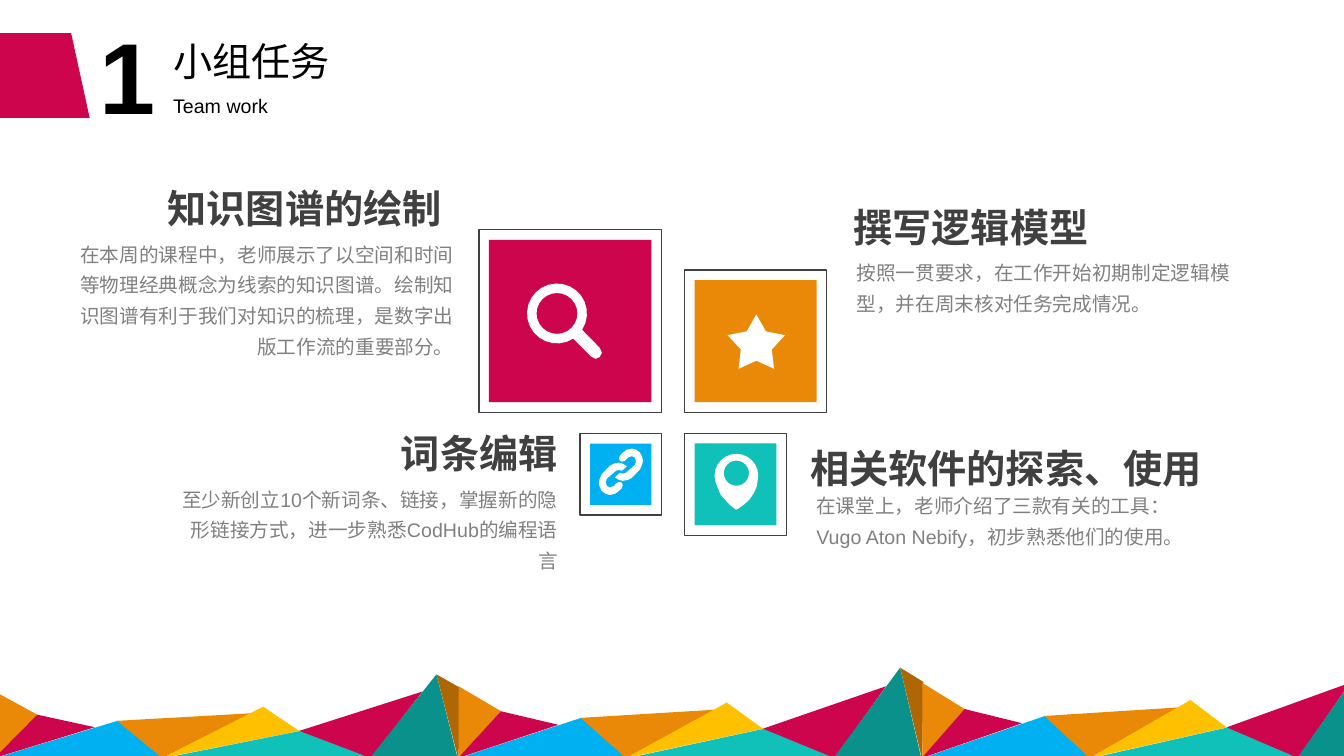
import math

import pptx
import pptx.dml.color
import pptx.enum.shapes
import pptx.enum.text
import pptx.util

Pt = pptx.util.Pt
RGBColor = pptx.dml.color.RGBColor
MSO_SHAPE = pptx.enum.shapes.MSO_SHAPE
LEFT = pptx.enum.text.PP_ALIGN.LEFT
RIGHT = pptx.enum.text.PP_ALIGN.RIGHT

CRIMSON = RGBColor(0xCD, 0x05, 0x4C)
ORANGE = RGBColor(0xEA, 0x89, 0x08)
BROWN = RGBColor(0xAF, 0x67, 0x06)
GOLD = RGBColor(0xFF, 0xC0, 0x00)
BLUE = RGBColor(0x00, 0xB0, 0xF0)
TEAL = RGBColor(0x0F, 0xC1, 0xB9)
DARK_TEAL = RGBColor(0x0B, 0x91, 0x8B)
WHITE = RGBColor(0xFF, 0xFF, 0xFF)
BLACK = RGBColor(0x00, 0x00, 0x00)
CHARCOAL = RGBColor(0x40, 0x40, 0x40)
GREY = RGBColor(0x80, 0x80, 0x80)

# Mountain range: facets as (x, height above the base line)
BASE_LINE = 541.5
RANGE_WIDTH = 331.2
RANGE_SCALES = (1, 1.08, 1.13)
FACETS = (
    (ORANGE, ((-3.6, 0), (-3.6, 47.5), (26.6, 31))),
    (CRIMSON, ((-4, 0), (26.6, 31), (67.7, 22))),
    (BLUE, ((-3.6, 0), (84, 26.6), (117.4, 0))),
    (ORANGE, ((83.5, 26.6), (179.3, 32), (116, 0))),
    (GOLD, ((213.8, 19.4), (116, 0), (188, 36.7))),
    (TEAL, ((266.4, 0), (117.4, 0), (214.6, 19.4))),
    (CRIMSON, ((265, 0), (213.8, 19.4), (301.7, 47.5))),
    (DARK_TEAL, ((326.9, 0), (264.2, 0), (311.8, 59.8))),
    (BROWN, ((328.3, 50.4), (327.6, -1.4), (311.8, 59.8))),
)

# Tiles meet around a cross-shaped gap
GAP_LEFT, GAP_RIGHT = 472.5, 489
GAP_TOP, GAP_BOTTOM = 294.5, 309.6
TILE_INSET = 7.2

# Icons
MAGNIFIER_HANDLE = [(428.4, 248.4), (430, 252), (428.4, 255), (425.5, 256.3),
                    (422.6, 254.9)]
PIN_TIP = [(540.7, 347), (538.6, 352), (535.7, 356.4), (532, 360), (527, 363.6),
           (525.6, 364), (521.3, 360.7), (514.8, 353.5), (511.2, 344.9)]
LINK_CENTRE = (443.5, 337)
LINK_HALF = [
    (7.9, -16.6), (10.8, -15.8), (13.7, -13.7), (15.1, -10.8), (15.8, -7.9),
    (15.1, -5), (13.7, -1.8), (7.9, 4.3), (5, 5.8), (1.4, 6.5), (-1.4, 5.8),
    (-4.3, 4), (-0.7, 0.7), (1.4, 1.4), (3.6, 0.7), (10.1, -5), (10.8, -7.2),
    (10.1, -10.1), (7.9, -11.2), (5, -10.1), (2.9, -7.9), (0.7, -7.2),
    (-0.7, -7.9), (-1.4, -9.4), (-0.7, -11.5), (1.4, -13.7), (4.3, -15.8),
]

# Task texts: left, top, width, height, alignment, paragraphs
HEADINGS = (
    (110.2, 128.2, 212.4, 41, RIGHT, "知识图谱的绘制"),
    (277.9, 303.1, 127.4, 41, RIGHT, "词条编辑"),
    (602.6, 141.8, 184.3, 41, LEFT, "撰写逻辑模型"),
    (571.7, 313.9, 297.4, 41, LEFT, "相关软件的探索、使用"),
)
DETAILS = (
    (44.6, 164.9, 286.6, 95.8, RIGHT,
     "在本周的课程中，老师展示了以空间和时间等物理经典概念为线索的知识图谱。"
     "绘制知识图谱有利于我们对知识的梳理，是数字出版工作流的重要部分。"),
    (118.8, 339.8, 286.6, 51.1, RIGHT,
     "至少新创立10个新词条、链接，掌握新的隐形链接方式，进一步熟悉CodHub的编程语言"),
    (604.8, 177.8, 286.6, 51.1, LEFT,
     "按照一贯要求，在工作开始初期制定逻辑模型，并在周末核对任务完成情况。"),
    (576, 344.2, 286.6, 51.1, LEFT,
     "在课堂上，老师介绍了三款有关的工具：",
     "Vugo Aton Nebify，初步熟悉他们的使用。"),
)


def paint(shape, fill=None, line=None):
    shape.shadow.inherit = False
    if fill is None:
        shape.fill.background()
    else:
        shape.fill.solid()
        shape.fill.fore_color.rgb = fill
    if line is None:
        shape.line.fill.background()
    else:
        shape.line.color.rgb = line
        shape.line.width = Pt(1)


def add_preset(slide, kind, left, top, width, height, fill=None, line=None):
    shape = slide.shapes.add_shape(kind, Pt(left), Pt(top), Pt(width), Pt(height))
    paint(shape, fill, line)
    return shape


def add_outline(slide, fill, *contours):
    builder = None
    for contour in contours:
        first, *rest = [(Pt(x), Pt(y)) for x, y in contour]
        if builder is None:
            builder = slide.shapes.build_freeform(*first, scale=1.0)
        else:
            builder.move_to(*first)
        builder.add_line_segments(rest, close=True)
    paint(builder.convert_to_shape(), fill)


def arc(x, y, radius, start=0, end=360, steps=24):
    angles = [math.radians(start + (end - start) * i / steps) for i in range(steps + 1)]
    return [(x + radius * math.cos(a), y + radius * math.sin(a)) for a in angles]


def add_text(slide, left, top, width, height, align, *lines, size, color=BLACK,
             bold=False, spacing=None, wrap=True):
    frame = slide.shapes.add_textbox(Pt(left), Pt(top), Pt(width), Pt(height)).text_frame
    frame.word_wrap = wrap
    for i, line in enumerate(lines):
        paragraph = frame.add_paragraph() if i else frame.paragraphs[0]
        paragraph.alignment = align
        if spacing:
            paragraph.line_spacing = spacing
        run = paragraph.add_run()
        run.text = line
        run.font.name = "Arial"
        run.font.size = Pt(size)
        run.font.bold = bold
        run.font.color.rgb = color


def add_mountains(slide, slide_width):
    for i, scale in enumerate(RANGE_SCALES):
        for color, corners in FACETS:
            points = [(x + i * RANGE_WIDTH, BASE_LINE - h * scale) for x, h in corners]
            if min(x for x, _ in points) < slide_width:
                add_outline(slide, color, points)


def add_tile(slide, left, top, size, color):
    inner = size - 2 * TILE_INSET
    add_preset(slide, MSO_SHAPE.RECTANGLE, left + TILE_INSET, top + TILE_INSET,
               inner, inner, fill=color)
    add_preset(slide, MSO_SHAPE.RECTANGLE, left, top, size, size, line=CHARCOAL)


def add_icons(slide):
    # Magnifier
    add_outline(slide, WHITE, arc(397.9, 223.9, 14.6),
                arc(397.9, 223.9, 21.4, 57, 393) + MAGNIFIER_HANDLE)
    # Chain link: one half and the same half turned around
    x, y = LINK_CENTRE
    add_outline(slide, WHITE, *[[(x + turn * dx, y + turn * dy) for dx, dy in LINK_HALF]
                                for turn in (1, -1)])
    # Map pin
    add_outline(slide, WHITE, arc(526, 338, 9),
                arc(526, 339.8, 15.6, 180, 360, 12) + PIN_TIP)
    # Star
    star = add_preset(slide, MSO_SHAPE.STAR_5_POINT, 519.8, 224.6, 41, 38.9, fill=WHITE)
    star.adjustments[0] = 0.27


def main():
    deck = pptx.Presentation()
    deck.slide_width, deck.slide_height = Pt(960), Pt(540)
    slide = deck.slides.add_slide(deck.slide_layouts[6])

    add_mountains(slide, 960)

    # Title
    flag = add_preset(slide, MSO_SHAPE.FLOWCHART_MANUAL_INPUT, 0.7, 20.9, 60.5, 66.2,
                      fill=CRIMSON)
    flag.rotation = 90
    add_text(slide, 64.1, 6.5, 105.1, 94.3, LEFT, "1", size=72, bold=True)
    add_text(slide, 116.6, 23, 128.9, 41, LEFT, "小组任务", size=28)
    add_text(slide, 116.6, 63.4, 225.4, 24.5, LEFT, "Team work", size=14)

    # Tiles
    add_tile(slide, GAP_LEFT - 130.4, GAP_TOP - 130.4, 130.4, CRIMSON)
    add_tile(slide, GAP_RIGHT, GAP_TOP - 101.6, 101.6, ORANGE)
    add_tile(slide, GAP_RIGHT, GAP_BOTTOM, 72.8, TEAL)
    add_tile(slide, GAP_LEFT - 58.2, GAP_BOTTOM, 58.2, BLUE)
    add_icons(slide)

    # Tasks
    for detail in DETAILS:
        add_text(slide, *detail, size=14, color=GREY, spacing=1.3)
    for heading in HEADINGS:
        add_text(slide, *heading, size=28, color=CHARCOAL, bold=True, wrap=False)

    deck.save("out.pptx")


if __name__ == "__main__":
    main()
